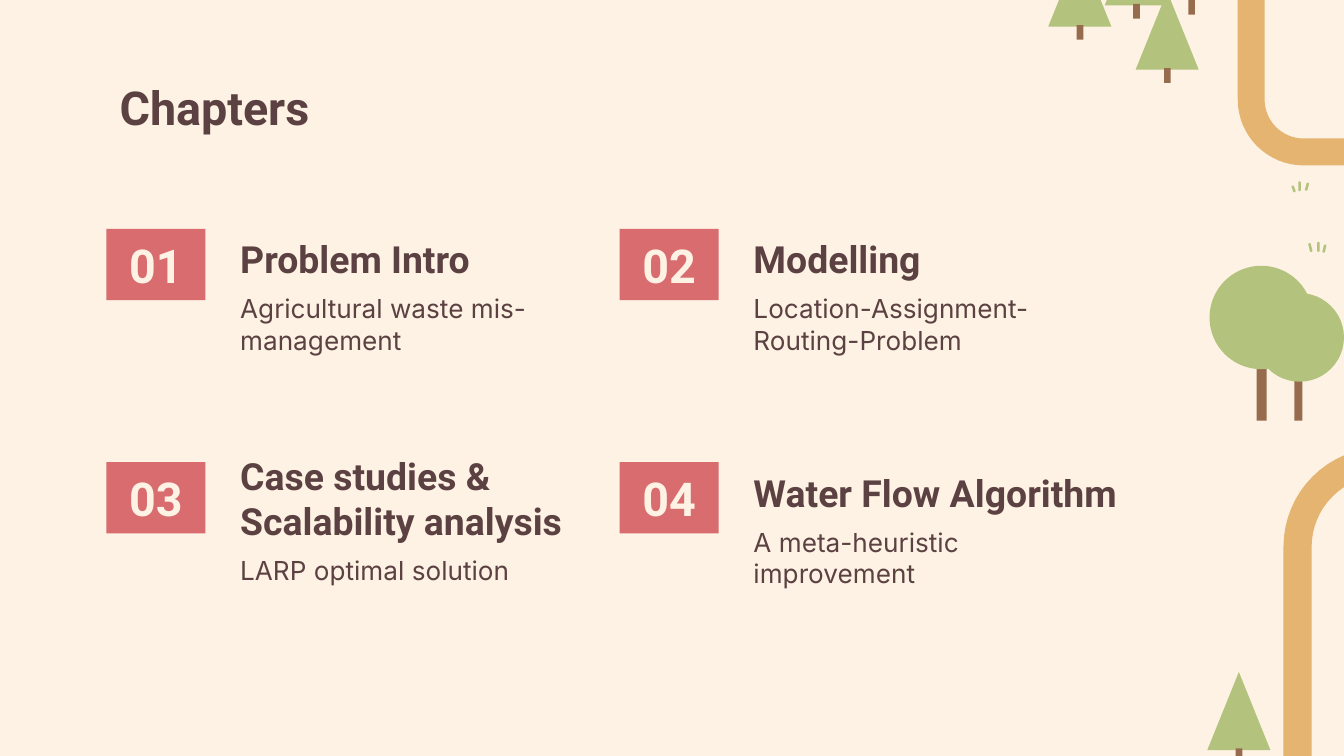
from math import cos, radians, sin

from pptx import Presentation
from pptx.dml.color import RGBColor
from pptx.enum.shapes import MSO_SHAPE
from pptx.enum.text import MSO_ANCHOR, PP_ALIGN
from pptx.util import Pt

RECT, OVAL, TRIANGLE = MSO_SHAPE.RECTANGLE, MSO_SHAPE.OVAL, MSO_SHAPE.ISOSCELES_TRIANGLE
TOP, MIDDLE, BOTTOM = MSO_ANCHOR.TOP, MSO_ANCHOR.MIDDLE, MSO_ANCHOR.BOTTOM
LEFT, CENTER = PP_ALIGN.LEFT, PP_ALIGN.CENTER
CREAM, BROWN, RED = "FDF2E3", "5C4142", "D86C6E"
GREEN, BARK, ROAD = "B3C27C", "976B4E", "E4B470"


def paint(shape, color):
    shape.fill.solid()
    shape.fill.fore_color.rgb = RGBColor.from_string(color)
    shape.line.fill.background()
    shape.shadow.inherit = False


def arc(x, y, radius, start, end):
    step = (end - start) / 16
    angles = [radians(start + step * i) for i in range(17)]
    return [(x + radius * cos(a), y + radius * sin(a)) for a in angles]


prs = Presentation()
prs.slide_width, prs.slide_height = Pt(720), Pt(405)
slide = prs.slides.add_slide(prs.slide_layouts[6])
slide.background.fill.solid()
slide.background.fill.fore_color.rgb = RGBColor.from_string(CREAM)
shapes = slide.shapes

outlines = []
grass = [
    (696.2, 97.2, [(-3.6, 2.2, -2.8, 5.8), (0, 0, 0, 5.2), (4.4, 0.7, 3.6, 5)]),
    (706.3, 129.6, [(-4.7, 0.7, -3.9, 5.4), (0, 0, 0, 5.3), (3.6, 1.4, 2.9, 5.8)]),
]
for x, y, blades in grass:
    for tip_x, tip_y, root_x, root_y in blades:
        tip = arc(x + tip_x, y + tip_y + 0.7, 0.7, 180, 360)
        root = arc(x + root_x, y + root_y - 0.7, 0.7, 0, 180)
        outlines.append((tip + root, GREEN))

upper_road = [(663.1, -283.7), *arc(698.4, 53.3, 35.3, 180, 90), (962.6, 88.6),
              (962.6, 74.2), *arc(698.4, 53.3, 20.9, 90, 180), (677.5, -283.7)]
lower_road = [(687.6, 583), *arc(740.9, 293, 53.3, 180, 270),
              *arc(740.9, 293, 38.2, 270, 180), (702.7, 583)]

scenery = [
    (RECT, 693.4, 193, 4.3, 32.4, BARK),
    (OVAL, 672.5, 157, 47.5, 47.5, GREEN),
    (RECT, 673.2, 193, 5.4, 32.4, BARK),
    (OVAL, 648, 142.4, 55.4, 55.4, GREEN),
    (RECT, 636.6, 0, 3.6, 7.9, BARK),
]
for x, y in [(561.6, -27.6), (591.8, -38.9), (608.4, -4.5), (646.8, 360)]:
    scenery.append((TRIANGLE, x, y, 33.8, 41.8, GREEN))
    scenery.append((RECT, x + 15.2, y + 41, 3.6, 7.9, BARK))
for kind, x, y, width, height, color in scenery:
    paint(shapes.add_shape(kind, Pt(x), Pt(y), Pt(width), Pt(height)), color)

outlines += [(upper_road, ROAD), (lower_road, ROAD)]
for points, color in outlines:
    start, *rest = [(Pt(x), Pt(y)) for x, y in points]
    builder = shapes.build_freeform(*start)
    builder.add_line_segments(rest)
    paint(builder.convert_to_shape(), color)

chapters = [
    ("01", ["Problem Intro"], "Agricultural waste mis-management", 0),
    ("02", ["Modelling"], "Location-Assignment-Routing-Problem", 0),
    ("03", ["Case studies &", "Scalability analysis"], "LARP optimal solution", 15),
    ("04", ["Water Flow Algorithm"], "A meta-heuristic improvement", 0),
]
texts = [(57, 35.3, 607, 45.4, ["Chapters"], 25, "Roboto", BROWN, TOP, LEFT)]
for i, (number, heading, summary, drop) in enumerate(chapters):
    row, column = divmod(i, 2)
    x, y = 57 + 275 * column, 122.6 + 125 * row
    texts += [
        (x, y, 53, 38.2, [number], 25, "Roboto", CREAM, MIDDLE, CENTER),
        (x + 64.6, y + drop, 216 if i == 3 else 204.5, 35.3, heading, 20, "Roboto", BROWN, BOTTOM, LEFT),
        (x + 64.6, y + 27 + drop, 204.5, 45.4, [summary], 14, "Inter", BROWN, TOP, LEFT),
    ]

for x, y, width, height, lines, size, font, color, anchor, align in texts:
    area = Pt(x), Pt(y), Pt(width), Pt(height)
    if color == CREAM:
        box = shapes.add_shape(RECT, *area)
        paint(box, RED)
    else:
        box = shapes.add_textbox(*area)
    frame = box.text_frame
    frame.word_wrap = True
    frame.vertical_anchor = anchor
    frame.margin_left = frame.margin_right = frame.margin_top = frame.margin_bottom = Pt(7.2)
    for n, line in enumerate(lines):
        paragraph = frame.add_paragraph() if n else frame.paragraphs[0]
        paragraph.alignment = align
        run = paragraph.add_run()
        run.text = line
        run.font.size = Pt(size)
        run.font.name = font
        run.font.bold = font == "Roboto"
        run.font.color.rgb = RGBColor.from_string(color)

prs.save("out.pptx")
